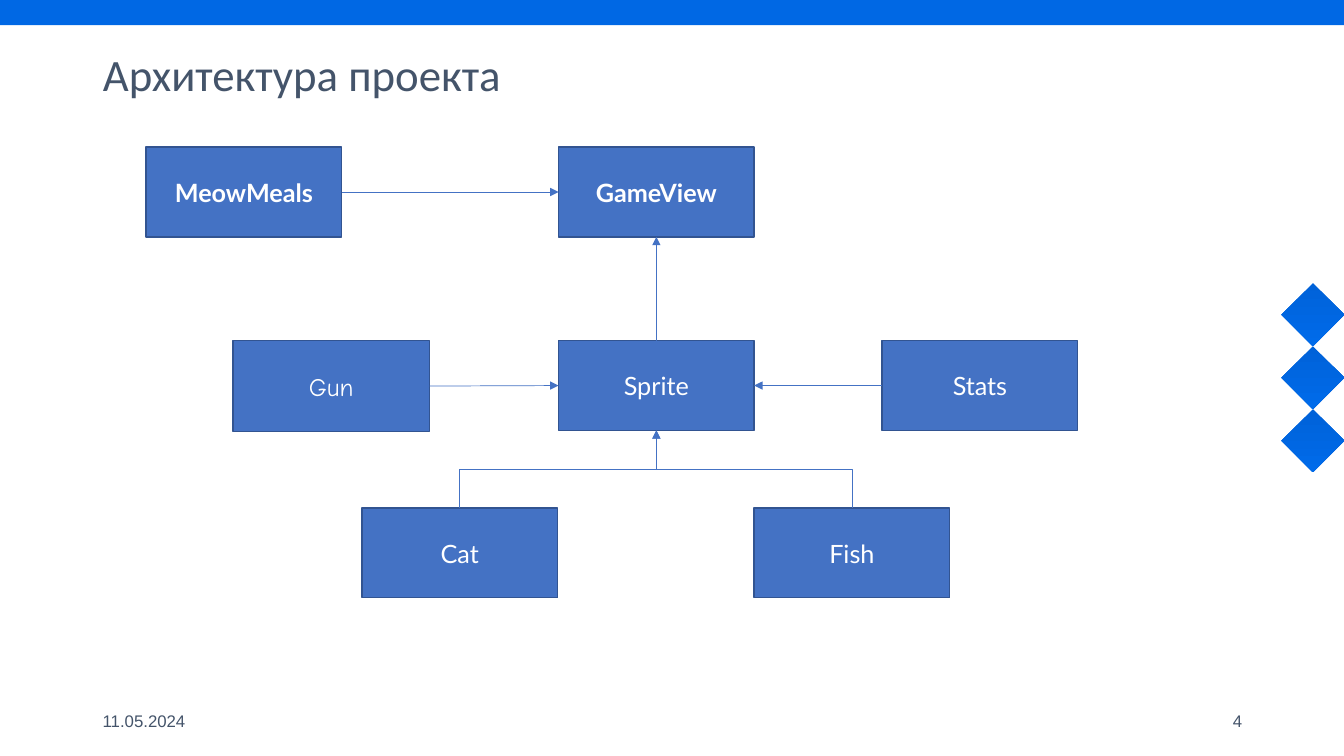
from dataclasses import dataclass

from lxml import etree
from pptx import Presentation
from pptx import util as u
from pptx.dml.color import RGBColor
from pptx.enum import shapes, text
from pptx.oxml import ns

ACCENT = RGBColor(0x00, 0x68, 0xE4)
ACCENT_DARK = RGBColor(0x00, 0x62, 0xD9)
ACCENT_LIGHT = RGBColor(0x00, 0x6B, 0xEA)
BLOCK_FILL = RGBColor(0x44, 0x72, 0xC4)
BLOCK_BORDER = RGBColor(0x32, 0x54, 0x91)
SLATE = RGBColor(0x44, 0x54, 0x6A)
WHITE = RGBColor(0xFF, 0xFF, 0xFF)

TOP, LEFT, BOTTOM, RIGHT = range(4)  # connection sites of a block
DIAMOND = 0.625

TITLE_FORMAT = {"name": "Calibri", "size": u.Pt(32), "bold": False}
FOOTER_FORMAT = {"name": "Arial", "size": u.Pt(12)}


@dataclass(frozen=True)
class Block:
    name: str
    left: float
    top: float
    width: float = 1.94
    height: float = 0.89
    font: str = "Lato"
    bold: bool = False


@dataclass(frozen=True)
class Link:
    source: str
    source_site: int
    target: str
    target_site: int
    bent: bool = False


@dataclass(frozen=True)
class FooterItem:
    wording: str
    left: float
    align: text.PP_ALIGN


BLOCKS = [
    Block("Gun", 2.31, 3.38, 1.95, 0.9, font="Comic Neue"),
    Block("Cat", 3.59, 5.04),
    Block("MeowMeals", 1.45, 1.46, bold=True),
    Block("Stats", 8.75, 3.38),
    Block("Sprite", 5.54, 3.38),
    Block("GameView", 5.54, 1.46, bold=True),
    Block("Fish", 7.48, 5.04),
]
LINKS = [
    Link("MeowMeals", RIGHT, "GameView", LEFT),
    Link("Sprite", TOP, "GameView", BOTTOM),
    Link("Gun", RIGHT, "Sprite", LEFT),
    Link("Cat", TOP, "Sprite", BOTTOM, bent=True),
    Link("Fish", TOP, "Sprite", BOTTOM, bent=True),
    Link("Stats", LEFT, "Sprite", RIGHT),
]
FOOTER = [
    FooterItem("11.05.2024", 0.92, text.PP_ALIGN.LEFT),
    FooterItem("4", 9.42, text.PP_ALIGN.RIGHT),
]


def write(shape, wording: str, font_format: dict, color: RGBColor,
          align: text.PP_ALIGN) -> None:
    frame = shape.text_frame
    frame.word_wrap = True
    frame.auto_size = text.MSO_AUTO_SIZE.NONE
    frame.vertical_anchor = text.MSO_ANCHOR.MIDDLE
    paragraph = frame.paragraphs[0]
    paragraph.alignment = align
    run = paragraph.add_run()
    run.text = wording
    for attribute, value in font_format.items():
        setattr(run.font, attribute, value)
    run.font.color.rgb = color


def draw_title(slide, wording: str) -> None:
    title = slide.shapes.title
    place = {"left": 0.92, "top": 0.4, "width": 10.12, "height": 0.76}
    for attribute, value in place.items():
        setattr(title, attribute, u.Inches(value))
    write(title, wording, TITLE_FORMAT, SLATE, text.PP_ALIGN.LEFT)
    title.text_frame.paragraphs[0].line_spacing = 0.8


def draw_decor(slide) -> None:
    """Draw the top band and the column of diamonds on the right edge."""
    for row in range(3):
        diamond = slide.shapes.add_shape(
            shapes.MSO_SHAPE.DIAMOND, u.Inches(12.71),
            u.Inches(2.81 + row * DIAMOND), u.Inches(DIAMOND), u.Inches(DIAMOND))
        diamond.shadow.inherit = False
        diamond.line.fill.background()
        diamond.fill.gradient()
        diamond.fill.gradient_angle = 270
        for stop, color in zip(diamond.fill.gradient_stops,
                               (ACCENT_DARK, ACCENT_LIGHT)):
            stop.color.rgb = color
    band = slide.shapes.add_shape(shapes.MSO_SHAPE.RECTANGLE, 0, 0,
                                  u.Inches(13.33), u.Inches(0.25))
    band.shadow.inherit = False
    band.fill.solid()
    band.fill.fore_color.rgb = ACCENT
    band.line.fill.background()


def draw_footer(slide, item: FooterItem) -> None:
    box = slide.shapes.add_textbox(u.Inches(item.left), u.Inches(6.95),
                                   u.Inches(3), u.Inches(0.4))
    write(box, item.wording, FOOTER_FORMAT, SLATE, item.align)


def draw_block(slide, block: Block):
    shape = slide.shapes.add_shape(
        shapes.MSO_SHAPE.FLOWCHART_PROCESS, u.Inches(block.left),
        u.Inches(block.top), u.Inches(block.width), u.Inches(block.height))
    shape.shadow.inherit = False
    shape.fill.solid()
    shape.fill.fore_color.rgb = BLOCK_FILL
    shape.line.color.rgb = BLOCK_BORDER
    shape.line.width = u.Pt(1)
    font_format = {"name": block.font, "size": u.Pt(18), "bold": block.bold}
    write(shape, block.name, font_format, WHITE, text.PP_ALIGN.CENTER)
    return shape


def turn_upright(connector) -> None:
    """Rotate an elbow so that it leaves and arrives vertically."""
    going_right = connector.end_x > connector.begin_x
    left, top = connector.left, connector.top
    width, height = connector.width, connector.height
    connector.left = left + (width - height) // 2
    connector.top = top + (height - width) // 2
    connector.width, connector.height = height, width
    frame = connector._element.spPr.find(ns.qn("a:xfrm"))
    frame.set("rot", str((90 if going_right else 270) * 60000))
    frame.set("flipH", "1" if going_right else "0")
    frame.set("flipV", "1")


def draw_link(slide, link: Link, drawn: dict) -> None:
    kind = shapes.MSO_CONNECTOR.ELBOW if link.bent else shapes.MSO_CONNECTOR.STRAIGHT
    connector = slide.shapes.add_connector(kind, 0, 0, 0, 0)
    connector.begin_connect(drawn[link.source], link.source_site)
    connector.end_connect(drawn[link.target], link.target_site)
    if link.bent:
        turn_upright(connector)
    connector.line.color.rgb = BLOCK_FILL
    connector.line.width = u.Pt(0.5)
    properties = connector._element.spPr
    etree.SubElement(properties.find(ns.qn("a:ln")), ns.qn("a:tailEnd"),
                     type="triangle")
    etree.SubElement(properties, ns.qn("a:effectLst"))


def main() -> None:
    deck = Presentation()
    deck.slide_width, deck.slide_height = u.Inches(13.33), u.Inches(7.5)
    slide = deck.slides.add_slide(deck.slide_layouts.get_by_name("Title Only"))
    draw_decor(slide)
    for item in FOOTER:
        draw_footer(slide, item)
    draw_title(slide, "Архитектура проекта")
    drawn = {block.name: draw_block(slide, block) for block in BLOCKS}
    for link in LINKS:
        draw_link(slide, link, drawn)
    deck.save("out.pptx")


if __name__ == "__main__":
    main()
